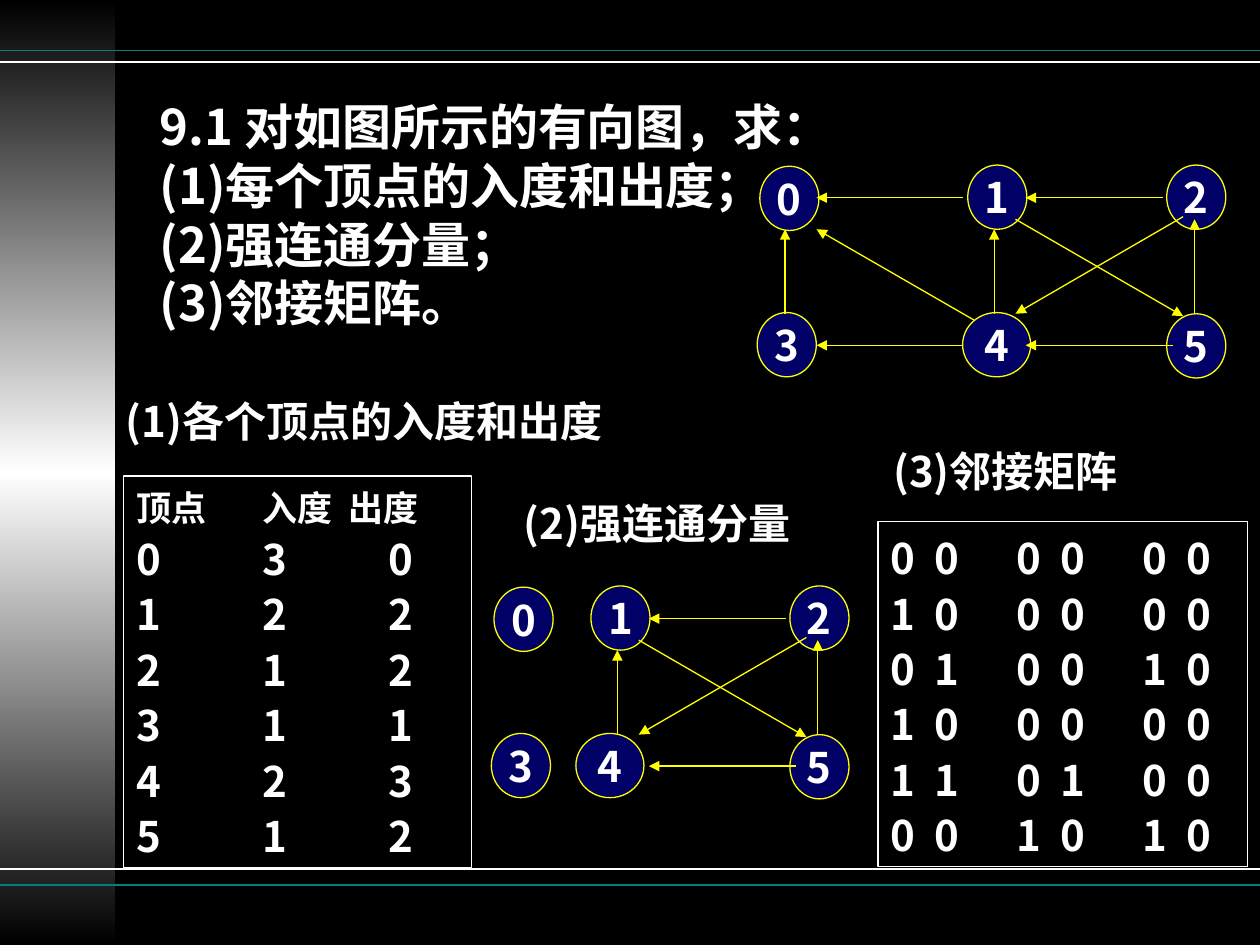
from copy import deepcopy
from dataclasses import dataclass

from lxml.etree import SubElement
from pptx import Presentation
from pptx.dml.color import RGBColor as Rgb
from pptx.enum.shapes import MSO_CONNECTOR as Link, MSO_SHAPE as Preset
from pptx.enum.text import MSO_ANCHOR as Anchor, MSO_AUTO_SIZE as Fit, PP_ALIGN as Align
from pptx.oxml.ns import qn
from pptx.util import Pt


@dataclass(frozen=True)
class Theme:
    font: str = "Noto Sans CJK SC"
    ground: Rgb = Rgb(0, 0, 0)
    text: Rgb = Rgb(255, 255, 255)
    rule: Rgb = Rgb(0, 128, 128)
    node: Rgb = Rgb(0, 0, 102)
    edge: Rgb = Rgb(255, 255, 0)
    title: int = 28
    body: int = 24
    header: int = 20
    thin: float = 0.75


class SlideBuilder:
    def __init__(self, slide, theme):
        self.slide, self.theme = slide, theme
        slide.background.fill.solid()
        slide.background.fill.fore_color.rgb = theme.ground

    def fill_paragraph(self, paragraph, text, size, tabs=(), **layout):
        if tabs:
            tab_list = SubElement(paragraph._p.get_or_add_pPr(), qn("a:tabLst"))
            for stop in tabs:
                SubElement(tab_list, qn("a:tab"), pos=str(Pt(stop)), algn="l")
        for key, value in layout.items():
            setattr(paragraph, key, value)
        paragraph.text = text
        for run in paragraph.runs:
            for key, value in {"name": self.theme.font, "size": Pt(size), "bold": True}.items():
                setattr(run.font, key, value)
            run.font.color.rgb = self.theme.text
            SubElement(run._r.get_or_add_rPr(), qn("a:ea"), typeface=self.theme.font)

    def band(self, left, top, width, height):
        band = self.slide.shapes.add_shape(
            Preset.RECTANGLE, Pt(left), Pt(top), Pt(width), Pt(height))
        band.shadow.inherit = False
        band.line.fill.background()
        band.fill.gradient()
        band.fill.gradient_angle = 270
        first = band.fill.gradient_stops[0]._gs
        first.addnext(deepcopy(first))
        colors = (self.theme.ground, self.theme.text, self.theme.ground)
        for stop, place, color in zip(band.fill.gradient_stops, (0, 0.5, 1), colors):
            stop.position = place
            stop.color.rgb = color

    def line(self, start, end, color, width, arrow=False):
        line = self.slide.shapes.add_connector(
            Link.STRAIGHT, *(Pt(value) for value in (*start, *end)))
        line.line.color.rgb = color
        line.line.width = Pt(width)
        properties = line._element.spPr
        if arrow:
            SubElement(properties.find(qn("a:ln")), qn("a:tailEnd"), type="triangle")
        SubElement(properties, qn("a:effectLst"))

    def text(self, left, top, width, height, text, size, anchor=Anchor.TOP, align=Align.LEFT):
        box = self.slide.shapes.add_textbox(Pt(left), Pt(top), Pt(width), Pt(height))
        frame = box.text_frame
        for key, value in {"word_wrap": True, "vertical_anchor": anchor}.items():
            setattr(frame, key, value)
        self.fill_paragraph(frame.paragraphs[0], text, size, alignment=align)

    def heading(self, left, top, width, text):
        self.text(left, top, width, 36, text, self.theme.body, align=Align.JUSTIFY)

    def node(self, label, left, top, width=33.8):
        node = self.slide.shapes.add_shape(
            Preset.OVAL, Pt(left), Pt(top), Pt(width), Pt(36.7))
        node.shadow.inherit = False
        node.fill.solid()
        node.fill.fore_color.rgb = self.theme.node
        node.line.color.rgb = self.theme.edge
        node.line.width = Pt(self.theme.thin)
        frame = node.text_frame
        for key, value in {"word_wrap": False, "vertical_anchor": Anchor.MIDDLE}.items():
            setattr(frame, key, value)
        self.fill_paragraph(frame.paragraphs[0], label, self.theme.body, alignment=Align.CENTER)

    def edge(self, start, end, shift=(0, 0)):
        dx, dy = shift
        ends = [(x + dx, y + dy) for x, y in (start, end)]
        self.line(*ends, self.theme.edge, self.theme.thin, arrow=True)

    def framed_rows(self, left, top, width, height, rows):
        """Each row is its cells, its type size and its tab stops."""
        panel = self.slide.shapes.add_shape(
            Preset.RECTANGLE, Pt(left), Pt(top), Pt(width), Pt(height))
        panel.shadow.inherit = False
        panel.fill.background()
        panel.line.color.rgb = self.theme.text
        panel.line.width = Pt(self.theme.thin)
        frame = panel.text_frame
        for key, value in {"word_wrap": True, "vertical_anchor": Anchor.TOP,
                           "auto_size": Fit.SHAPE_TO_FIT_TEXT}.items():
            setattr(frame, key, value)
        for index, (cells, size, tabs) in enumerate(rows):
            paragraph = frame.add_paragraph() if index else frame.paragraphs[0]
            self.fill_paragraph(paragraph, "\t".join(cells), size, tabs,
                                alignment=Align.LEFT, line_spacing=1.1)


NODES = {
    "3": (432.7, 178.6), "2": (666.7, 94.3), "4": (550.1, 178.6, 38.9),
    "1": (553, 94.3), "5": (666.7, 179.3), "0": (434.2, 95),
}
EDGES = {
    "10": ((550.1, 113), (466.6, 113)),
    "30": ((448.6, 179.3), (448.6, 131)),
    "41": ((568.1, 179.3), (568.1, 131)),
    "52": ((682.6, 179.3), (682.6, 125.3)),
    "15": ((580.3, 125.3), (676.1, 180.7)),
    "40": ((556.6, 182.9), (466.6, 131)),
    "43": ((550.1, 197.3), (466.6, 197.3)),
    "21": ((664.6, 113), (586.1, 113)),
    "54": ((670.3, 197.3), (586.1, 197.3)),
    "24": ((676.1, 123.8), (580.3, 179.3)),
}
# Vertex, in-degree, out-degree
DEGREES = ("030", "122", "212", "311", "423", "512")
MATRIX = ("000000", "100000", "010010", "100000", "110100", "001010")
# Offsets of the component graph from the full graph
CORE_SHIFT = (-215.3, 240.5)
NODE_SHIFT_X = {"0": -151.9, "3": -151.9, "4": -221}


def main():
    deck = Presentation()
    deck.slide_width, deck.slide_height = Pt(720), Pt(540)
    theme = Theme()
    page = SlideBuilder(deck.slides.add_slide(deck.slide_layouts[6]), theme)

    # Side band and horizontal rules
    page.band(0, 0, 66, 540)
    for y, color in ((28.8, theme.rule), (35.5, theme.text),
                     (496.6, theme.text), (505.6, theme.rule)):
        page.line((0, y), (720, y), color, 1)

    # Question
    page.text(84.2, 48.2, 610.6, 148.3,
              "9.1 对如图所示的有向图，求：\v(1)每个顶点的入度和出度；\v(2)强连通分量；\v(3)邻接矩阵。",
              theme.title, Anchor.MIDDLE)

    # Directed graph
    for label, place in NODES.items():
        page.node(label, *place)
    for ends in EDGES.values():
        page.edge(*ends)

    # Answer 1: degrees
    page.heading(64.8, 222.5, 368.6, "(1)各个顶点的入度和出度")
    degree_rows = [(("顶点", "入度", "出度"), theme.header, (72, 121.5))]
    degree_rows += [(row, theme.body, (72, 144)) for row in DEGREES]
    page.framed_rows(70.7, 272, 198.6, 224, degree_rows)

    # Answer 2: strongly connected components
    page.heading(292.3, 280.8, 198, "(2)强连通分量")
    dx, dy = CORE_SHIFT
    for label, (left, top, *width) in NODES.items():
        page.node(label, left + NODE_SHIFT_X.get(label, dx), top + dy, *width)
    for pair, ends in EDGES.items():
        if not set(pair) & {"0", "3"}:
            page.edge(*ends, CORE_SHIFT)

    # Answer 3: adjacency matrix
    page.heading(503.3, 251.3, 157, "(3)邻接矩阵")
    page.framed_rows(501.8, 298, 211, 197.3,
                     [(row, theme.body, (25, 72, 97, 144, 169)) for row in MATRIX])

    deck.save("out.pptx")


if __name__ == "__main__":
    main()
